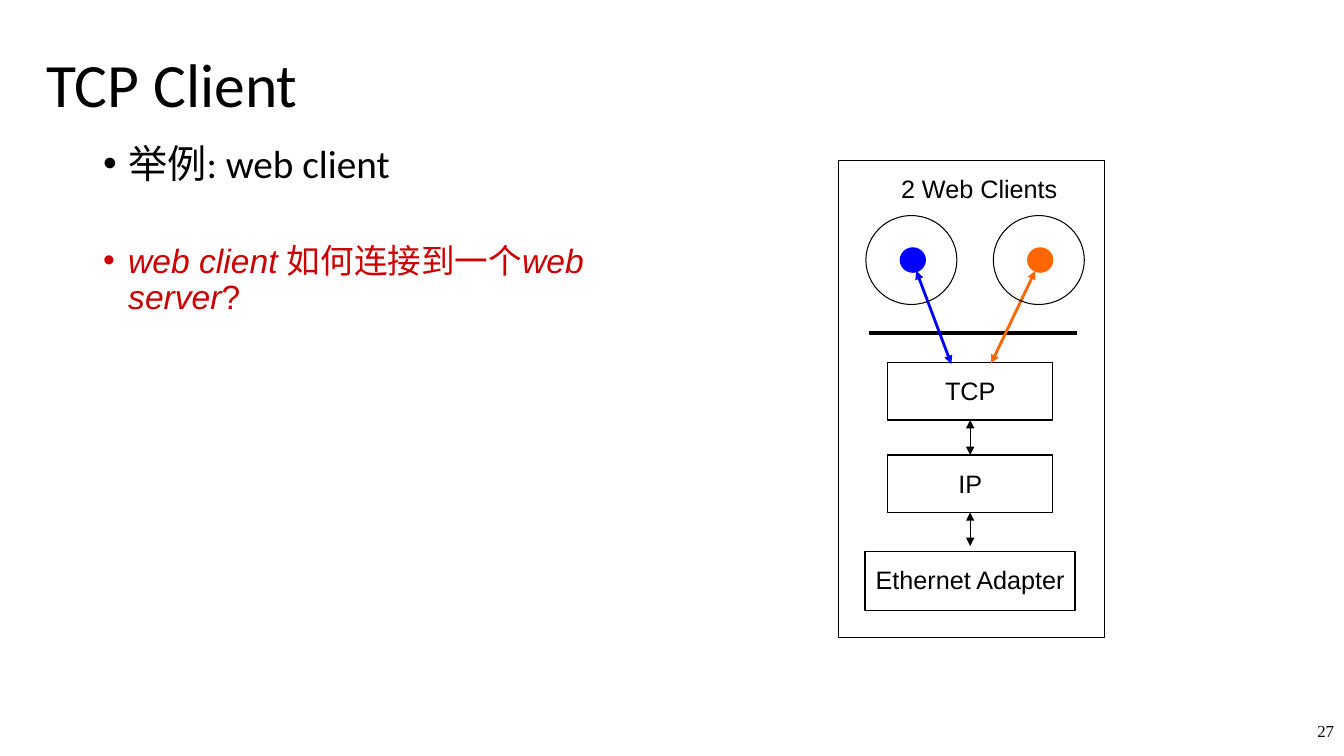
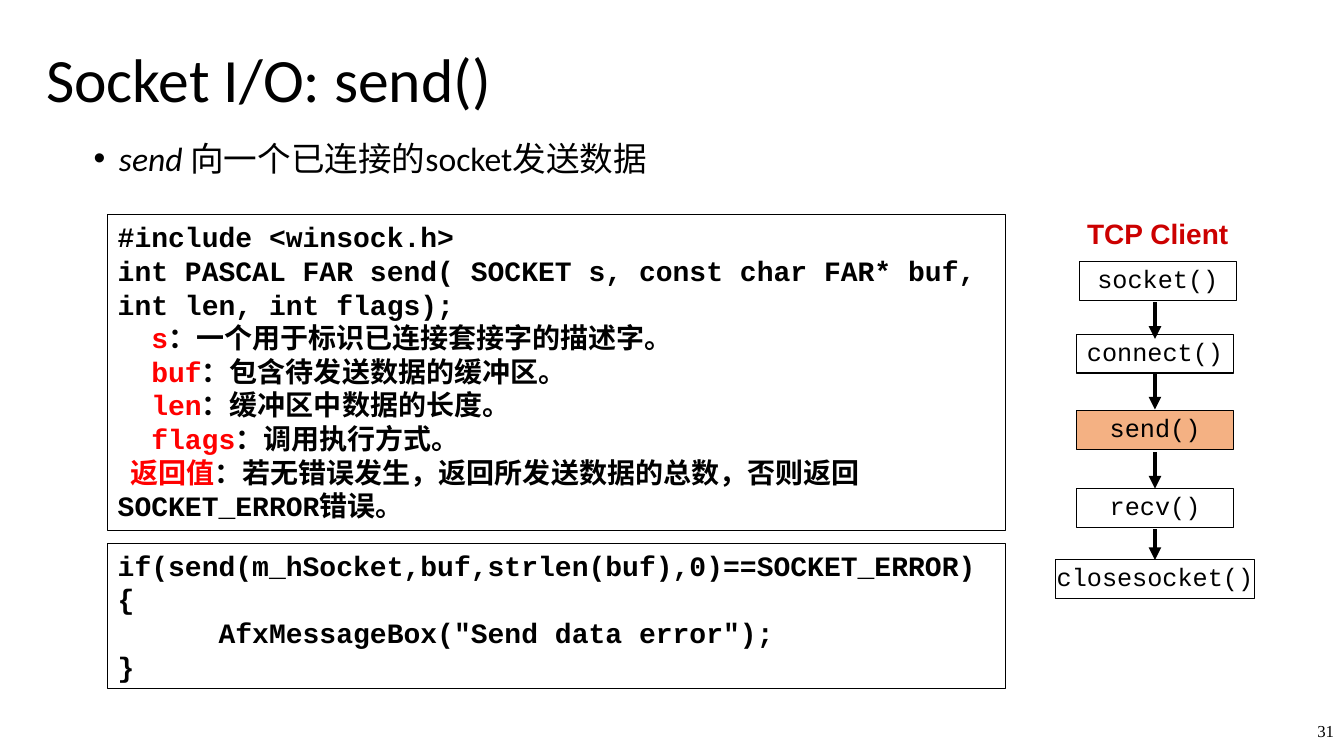
from pptx import Presentation
from pptx.dml.color import RGBColor
from pptx.enum.shapes import MSO_CONNECTOR, MSO_SHAPE
from pptx.enum.text import MSO_ANCHOR, PP_ALIGN
from pptx.oxml.ns import qn
from pptx.util import Pt
from lxml.etree import SubElement

rgb = RGBColor.from_string
BLACK, RED, CODE_RED = "000000", "CC0000", "FF0000"
BLUE, ORANGE, PEACH = "0000FF", "FF6600", "F4B183"
CENTER, RIGHT = PP_ALIGN.CENTER, PP_ALIGN.RIGHT
TOP, MIDDLE = MSO_ANCHOR.TOP, MSO_ANCHOR.MIDDLE
RECT, OVAL = MSO_SHAPE.RECTANGLE, MSO_SHAPE.OVAL

TITLE = dict(name="Calibri", size=Pt(44))
NUMBER = dict(name="Times New Roman", size=Pt(12))
LABEL = dict(name="Arial", size=Pt(18))
CODE = dict(name="Courier New", size=Pt(20), bold=True)
CALL = dict(name="Courier New", size=Pt(18))
BULLET = dict(line_spacing=0.9, bullet=True, indent=(18, -18))


def add_box(s, at, paras=(), font=LABEL, color=BLACK, shape=None, fill=None,
            line=BLACK, weight=0.75, wrap=True, anchor=TOP, inset=(7.2, 3.6)):
    at = [Pt(v) for v in at]
    if shape is None:
        sp = s.shapes.add_textbox(*at)
    else:
        sp = s.shapes.add_shape(shape, *at)
        sp.shadow.inherit = False
        sp.line.color.rgb = rgb(line)
        sp.line.width = Pt(weight)
        if fill:
            sp.fill.solid()
            sp.fill.fore_color.rgb = rgb(fill)
        else:
            sp.fill.background()
    tf = sp.text_frame
    tf.word_wrap = wrap
    tf.vertical_anchor = anchor
    tf.margin_left = tf.margin_right = Pt(inset[0])
    tf.margin_top = tf.margin_bottom = Pt(inset[1])
    for i, (runs, style) in enumerate(paras):
        p = tf.add_paragraph() if i else tf.paragraphs[0]
        style = {"alignment": PP_ALIGN.LEFT, **style}
        bullet = style.pop("bullet", False)
        margin, indent = style.pop("indent", (0, 0))
        for key, value in style.items():
            setattr(p, key, value)
        pPr = p._p.get_or_add_pPr()
        pPr.set("marL", str(Pt(margin)))
        pPr.set("indent", str(Pt(indent)))
        if bullet:
            SubElement(pPr, qn("a:buFont")).set("typeface", "Arial")
            SubElement(pPr, qn("a:buChar")).set("char", "•")
        for text, extra in runs:
            r = p.add_run()
            r.text = text
            values = {**font, "color": color, **extra}
            r.font.color.rgb = rgb(values.pop("color"))
            for key, value in values.items():
                setattr(r.font, key, value)


def add_line(s, points, color=BLACK, weight=0.75, ends=()):
    c = s.shapes.add_connector(MSO_CONNECTOR.STRAIGHT, *[Pt(v) for v in points])
    c.line.color.rgb = rgb(color)
    c.line.width = Pt(weight)
    for end in ends:
        SubElement(c.line._get_or_add_ln(), qn(end)).set("type", "triangle")
    SubElement(c._element.spPr, qn("a:effectLst"))


TAIL = ("a:tailEnd",)
BOTH = ("a:headEnd", "a:tailEnd")

prs = Presentation()
prs.slide_width, prs.slide_height = Pt(960), Pt(540)
slides = []
for title, top, number in [("TCP Client", 10, "27"), ("Socket I/O: send()", 7, "31")]:
    s = prs.slides.add_slide(prs.slide_layouts[6])
    add_box(s, (26.5, top, 828, 104.5), [([(title, {})], dict(line_spacing=0.9))],
            font=TITLE, anchor=MIDDLE, inset=(6.5, 3))
    add_box(s, (912, 504, 48, 36), [([(number, {})], dict(alignment=RIGHT))],
            font=NUMBER, anchor=MIDDLE)
    slides.append(s)
client, send = slides

question = dict(name="Arial", size=Pt(24), color=RED)
add_box(client, (66.5, 99.5, 372, 378), [
    ([("举例: web client", {})], BULLET),
    ([("web client ", {**question, "italic": True}),
      ("如何连接到一个", question),
      ("web server", {**question, "italic": True}),
      ("?", question)], {**BULLET, "space_before": Pt(41)}),
], font=dict(name="Calibri", size=Pt(28)))

add_box(client, (599, 114.5, 190, 341), shape=RECT)
add_box(client, (636.5, 120, 126, 29), [([("2 Web Clients", {})], {})], wrap=False)

layers = [("TCP", 259, 118, 41), ("IP", 325, 118, 41), ("Ethernet Adapter", 394, 150, 42)]
axis = 693
for name, top, width, height in layers:
    add_box(client, (axis - width / 2, top, width, height),
            [([(name, {})], dict(alignment=CENTER))],
            shape=RECT, weight=1, wrap=False, inset=(6.5, 9.4))
for start, stop in [(300, 325), (366, 390)]:
    add_line(client, (axis, start, axis, stop), ends=BOTH)
add_line(client, (621, 238, 769, 238), weight=3)

sockets = [(BLUE, 618.5, (654.5, 193.5, 679.5, 260)),
           (ORANGE, 709.5, (739.5, 193.5, 708, 259.5))]
for color, left, points in sockets:
    add_box(client, (left + 24.5, 177, 18, 17.5), shape=OVAL, fill=color, line=color)
    add_line(client, points, color, 2, BOTH)
    add_box(client, (left, 154, 65, 63.5), shape=OVAL)

add_box(send, (60.5, 98.5, 612, 33), [
    ([("send ", dict(italic=True)), ("向一个已连接的socket发送数据", {})], BULLET),
], font=dict(name="Calibri", size=Pt(24)), inset=(6.5, 3))

prototype = [
    "#include <winsock.h>",
    "int PASCAL FAR send( SOCKET s, const char FAR* buf, int len, int flags);",
]
terms = [
    ("s", "：一个用于标识已连接套接字的描述字。", 24),
    ("buf", "：包含待发送数据的缓冲区。", 24),
    ("len", "：缓冲区中数据的长度。", 24),
    ("flags", "：调用执行方式。", 24),
    ("返回值", "：若无错误发生，返回所发送数据的总数，否则返回SOCKET_ERROR错误。", 9),
]
example = [
    "if(send(m_hSocket,buf,strlen(buf),0)==SOCKET_ERROR)",
    "{",
    '      AfxMessageBox("Send data error");',
    "}",
]
reference = [([(text, {})], {}) for text in prototype]
reference += [([(term, dict(color=CODE_RED)), (text, {})], dict(indent=(0, indent)))
              for term, text, indent in terms]
add_box(send, (77, 153.5, 641, 225.5), reference, font=CODE, shape=RECT)
add_box(send, (77, 388, 641, 103.5), [([(text, {})], {}) for text in example],
        font=CODE, shape=RECT)

add_box(send, (769, 151, 116, 31), [([("TCP Client", {})], dict(alignment=CENTER))],
        font=dict(name="Arial", size=Pt(20), bold=True), color=RED,
        wrap=False, anchor=MIDDLE)
calls = [("socket()", 771, 187, 112, None), ("connect()", 769, 239, 112, None),
         ("send()", 769, 293.5, 112, PEACH), ("recv()", 769, 349, 112, None),
         ("closesocket()", 754, 400, 142, None)]
for name, left, top, width, fill in calls:
    add_box(send, (left, top, width, 27.5),
            [([(name, {})], dict(alignment=CENTER, line_spacing=0.9))],
            font=CALL, shape=RECT, fill=fill, wrap=False)
for start, stop in [(216, 242), (267, 292.5), (323, 349), (378, 400)]:
    add_line(send, (825, start, 825, stop), weight=3, ends=TAIL)

prs.save("out.pptx")
